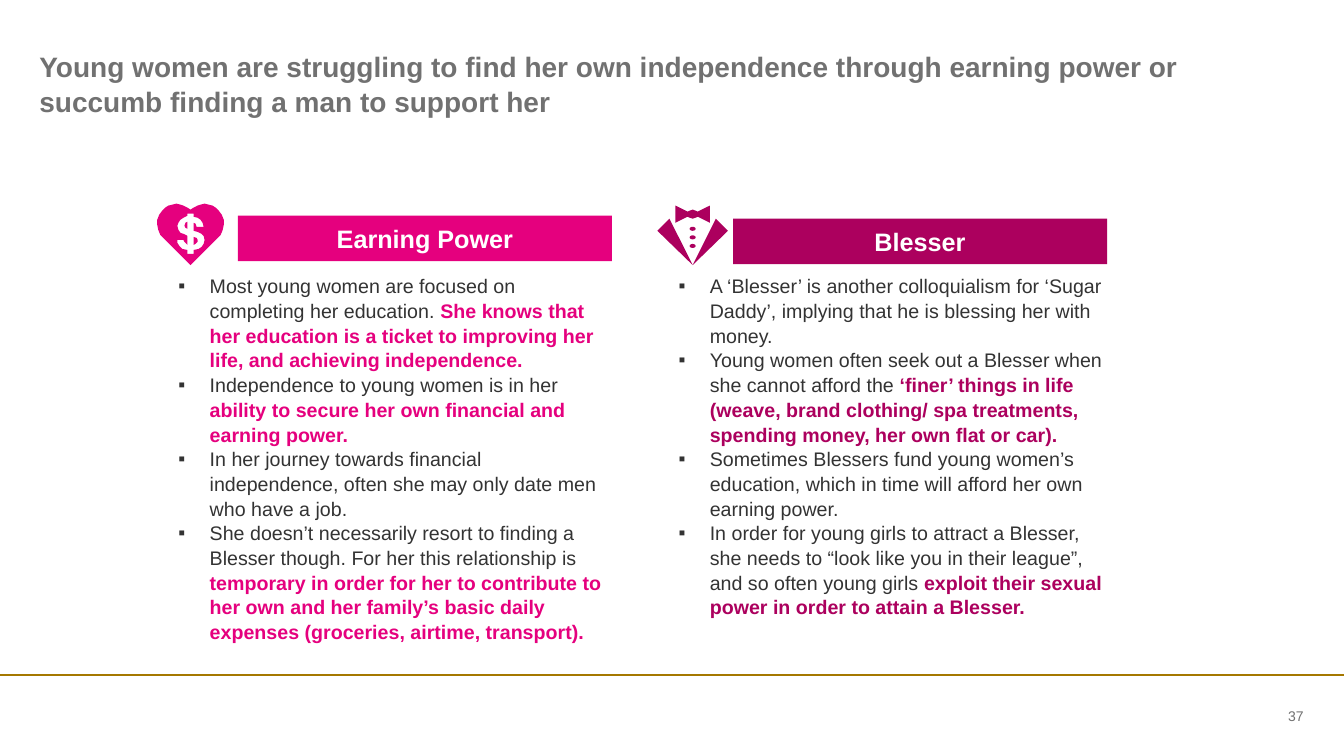
from pptx import Presentation
from pptx.dml.color import RGBColor
from pptx.enum.shapes import MSO_CONNECTOR, MSO_SHAPE
from pptx.enum.text import MSO_ANCHOR, MSO_AUTO_SIZE, PP_ALIGN
from pptx.oxml.ns import qn
from pptx.util import Inches, Pt
from lxml import etree

RECTANGLE, OVAL = MSO_SHAPE.RECTANGLE, MSO_SHAPE.OVAL
STRAIGHT = MSO_CONNECTOR.STRAIGHT
TOP, MIDDLE = MSO_ANCHOR.TOP, MSO_ANCHOR.MIDDLE
LEFT, CENTER, RIGHT = PP_ALIGN.LEFT, PP_ALIGN.CENTER, PP_ALIGN.RIGHT
NO_AUTOFIT = MSO_AUTO_SIZE.NONE

FONT = "Arial"
WHITE = RGBColor(0xFF, 0xFF, 0xFF)
GREY = RGBColor(0x71, 0x71, 0x71)
DARK = RGBColor(0x33, 0x33, 0x33)
PINK = RGBColor(0xE5, 0x00, 0x7E)
PLUM = RGBColor(0xAC, 0x00, 0x5E)
GOLD = RGBColor(0xA5, 0x78, 0x00)

TITLE = ("Young women are struggling to find her own independence through "
         "earning power or succumb finding a man to support her")

# Each bullet is a plain part followed by an emphasised part
EARNING_POWER = [
    ("Most young women are focused on completing her education. ",
     "She knows that her education is a ticket to improving her life, "
     "and achieving independence."),
    ("Independence to young women is in her ",
     "ability to secure her own financial and earning power."),
    ("In her journey towards financial independence, often she may only "
     "date men who have a job.", ""),
    ("She doesn’t necessarily resort to finding a Blesser though. "
     "For her this relationship is ",
     "temporary in order for her to contribute to her own and her family’s "
     "basic daily expenses (groceries, airtime, transport)."),
]
BLESSER = [
    ("A ‘Blesser’ is another colloquialism for ‘Sugar Daddy’, implying that "
     "he is blessing her with money.", ""),
    ("Young women often seek out a Blesser when she cannot afford the ",
     "‘finer’ things in life (weave, brand clothing/ spa treatments, "
     "spending money, her own flat or car)."),
    ("Sometimes Blessers fund young women’s education, which in time will "
     "afford her own earning power.", ""),
    ("In order for young girls to attract a Blesser, she needs to “look like "
     "you in their league”, and so often young girls ",
     "exploit their sexual power in order to attain a Blesser."),
]

# Icon outlines, in hundredths of an inch
HEART_AXIS, SUIT_AXIS = 189, 687
HALF_HEART = [(189, 208), (186, 206), (182, 204), (179, 203), (175, 202), (171, 203),
              (167, 204), (164, 206), (161, 209), (158, 213), (156, 218), (156, 223),
              (157, 228), (159, 233), (163, 237), (170, 244), (180, 254), (186, 260),
              (189, 263)]
DOLLAR = [(186, 212), (186, 214), (182, 216), (179, 218), (177, 221), (176, 224),
          (177, 228), (179, 231), (182, 232), (186, 234), (186, 243), (184, 241),
          (183, 240), (182, 238), (176, 238), (176, 241), (178, 244), (181, 247),
          (186, 248), (186, 252), (192, 252), (192, 248), (197, 247), (200, 245),
          (202, 242), (203, 238), (202, 234), (200, 232), (196, 230), (192, 229),
          (192, 221), (194, 222), (195, 225), (202, 225), (201, 221), (199, 218),
          (196, 216), (192, 215), (192, 212)]
DOLLAR_LOWER_BOWL = [(192, 235), (195, 236), (196, 238), (196, 240), (194, 242), (192, 243)]
DOLLAR_UPPER_BOWL = [(186, 220), (186, 227), (184, 226), (183, 224), (184, 221)]
HALF_BOW = [(687, 208), (684, 209), (682, 210), (670, 204), (670, 221), (682, 215),
            (684, 216), (687, 217)]
LAPEL = [(664, 217), (687, 263), (652, 229)]


def mirror(points, axis):
    return [(2 * axis - x, y) for x, y in points]


def symmetric(half, axis):
    return half + mirror(half, axis)[::-1]


class SlideBuilder:
    def __init__(self, presentation):
        self.slide = presentation.slides.add_slide(presentation.slide_layouts[3])
        self.shapes = self.slide.shapes

    def place(self, shape, left, top, width, height):
        shape.left, shape.top = Inches(left), Inches(top)
        shape.width, shape.height = Inches(width), Inches(height)

    def set_frame(self, frame, anchor):
        frame.margin_left = frame.margin_right = 0
        frame.margin_top = frame.margin_bottom = 0
        frame.word_wrap = True
        frame.auto_size = NO_AUTOFIT
        frame.vertical_anchor = anchor

    def style_font(self, font, size, color, bold=False):
        font.name, font.size, font.bold = FONT, Pt(size), bold
        font.color.rgb = color

    def set_text(self, frame, text, size, color, align, bold=False):
        frame.text = text
        paragraph = frame.paragraphs[0]
        paragraph.alignment = align
        self.style_font(paragraph.runs[0].font, size, color, bold)
        return paragraph

    def title(self, text, *box):
        shape = self.shapes.title
        self.place(shape, *box)
        self.set_frame(shape.text_frame, TOP)
        self.set_text(shape.text_frame, text, 20, GREY, LEFT, True).line_spacing = 1.05

    def bullet_list(self, index, items, accent, *box):
        shape = self.slide.placeholders[index]
        self.place(shape, *box)
        frame = shape.text_frame
        self.set_frame(frame, TOP)
        for number, (plain, emphasis) in enumerate(items):
            paragraph = frame.add_paragraph() if number else frame.paragraphs[0]
            paragraph.line_spacing = 1.05
            paragraph.space_before = Pt(0)
            properties = paragraph._p.get_or_add_pPr()
            properties.set("marL", str(Inches(0.31)))
            properties.set("indent", str(-Inches(0.31)))
            etree.SubElement(properties, qn("a:buFont")).set("typeface", FONT)
            etree.SubElement(properties, qn("a:buChar")).set("char", "▪")
            for text, color, bold in ((plain, DARK, False), (emphasis, accent, True)):
                if text:
                    run = paragraph.add_run()
                    run.text = text
                    self.style_font(run.font, 14, color, bold)

    def text_box(self, text, size, color, align, *box):
        shape = self.shapes.add_textbox(*map(Inches, box))
        self.set_frame(shape.text_frame, MIDDLE)
        self.set_text(shape.text_frame, text, size, color, align)

    def paint(self, shape, color):
        shape.shadow.inherit = False
        shape.fill.solid()
        shape.fill.fore_color.rgb = color
        shape.line.fill.background()

    def filled_shape(self, kind, color, *box):
        shape = self.shapes.add_shape(kind, *map(Inches, box))
        self.paint(shape, color)
        return shape

    def banner(self, text, color, *box):
        frame = self.filled_shape(RECTANGLE, color, *box).text_frame
        frame.vertical_anchor = MIDDLE
        self.set_text(frame, text, 18, WHITE, CENTER, True)

    def outline(self, color, *contours):
        builder = self.shapes.build_freeform(*contours[0][0], scale=Inches(0.01))
        for number, contour in enumerate(contours):
            if number:
                builder.move_to(*contour[0])
            builder.add_line_segments(contour[1:], close=True)
        self.paint(builder.convert_to_shape(), color)

    def rule(self, color, y, width):
        line = self.shapes.add_connector(STRAIGHT, 0, Inches(y), Inches(width), Inches(y))
        line.line.color.rgb = color
        line.line.width = Pt(1.5)
        etree.SubElement(line._element.spPr, qn("a:effectLst"))


def main():
    presentation = Presentation()
    presentation.slide_width, presentation.slide_height = Inches(13.33), Inches(7.5)
    builder = SlideBuilder(presentation)

    # Title, footer rule and page number
    builder.rule(GOLD, 6.7, 13.33)
    builder.title(TITLE, 0.39, 0.47, 12.54, 0.44)
    builder.text_box("37", 10, GREY, RIGHT, 11.87, 6.99, 1.06, 0.22)

    # Two columns
    builder.bullet_list(1, EARNING_POWER, PINK, 1.77, 2.71, 4.3, 3.82)
    builder.bullet_list(2, BLESSER, PLUM, 6.73, 2.71, 4.3, 3.82)
    builder.banner("Earning Power", PINK, 2.36, 2.14, 3.71, 0.45)
    builder.banner("Blesser", PLUM, 7.27, 2.17, 3.71, 0.45)

    # Heart icon with a dollar sign cut out
    builder.outline(PINK, symmetric(HALF_HEART, HEART_AXIS), DOLLAR)
    for bowl in (DOLLAR_LOWER_BOWL, DOLLAR_UPPER_BOWL):
        builder.outline(PINK, bowl)

    # Suit icon: bow tie, lapels and buttons
    builder.outline(PLUM, symmetric(HALF_BOW, SUIT_AXIS))
    for lapel in (LAPEL, mirror(LAPEL, SUIT_AXIS)):
        builder.outline(PLUM, lapel)
    for row in range(3):
        builder.filled_shape(OVAL, PLUM, 6.84, 2.25 + 0.085 * row, 0.06, 0.04)

    presentation.save("out.pptx")


if __name__ == "__main__":
    main()
